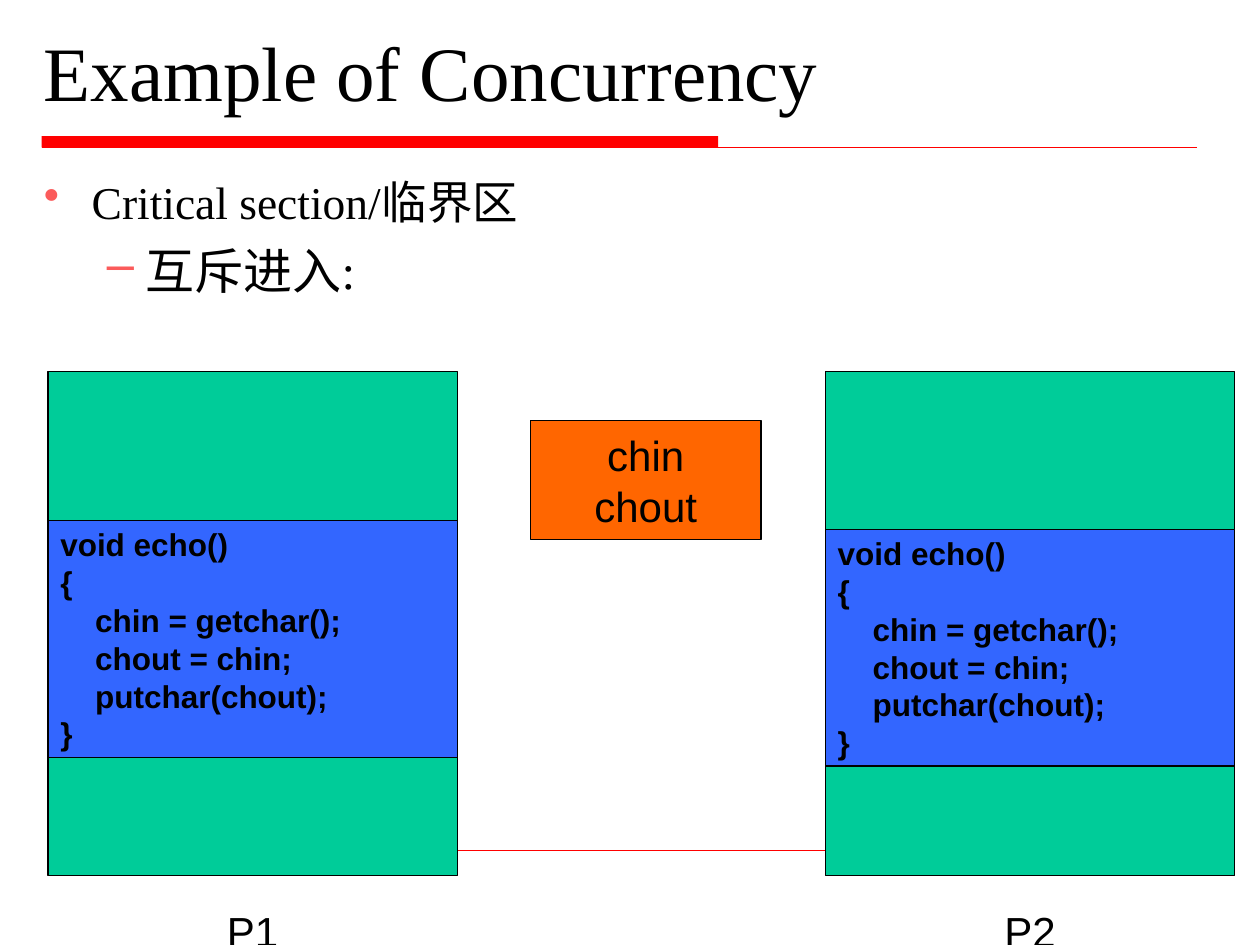
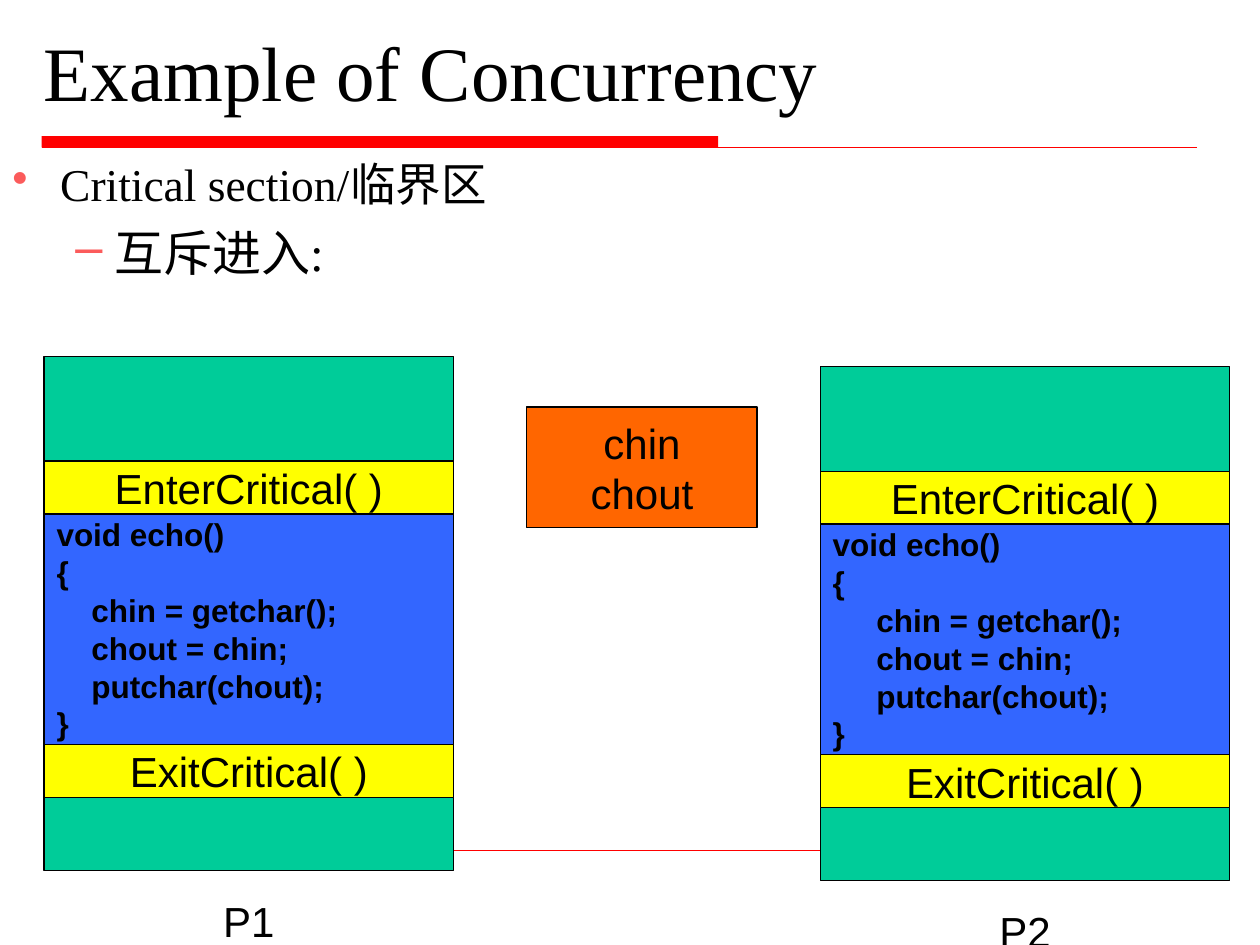
import pptx
import pptx.dml.color
import pptx.enum.shapes
import pptx.enum.text
import pptx.oxml.ns
import pptx.util
from dataclasses import dataclass
from lxml import etree

Inches = pptx.util.Inches
ALIGN = pptx.enum.text.PP_ALIGN
ANCHOR = pptx.enum.text.MSO_ANCHOR
COLUMN_WIDTH = 3.25
GUARD_HEIGHT = 0.42


@dataclass(frozen=True)
class Theme:
    black: str = "000000"
    rule: str = "FF0000"
    bullet: str = "FB5B5B"
    process: str = "00CC99"
    code: str = "3366FF"
    shared: str = "FF6600"
    guard: str = "FFFF00"
    heading_font: str = "Times New Roman"
    diagram_font: str = "Arial"
    title_size: float = 44
    topic_size: float = 26
    detail_size: float = 28
    label_size: float = 24
    code_size: float = 18
    outline: float = 0.75
    hairline: float = 0.25


def rgb(value):
    return pptx.dml.color.RGBColor.from_string(value)


def write_text(frame, text, *, size, font, color="000000", bold=False, align=ALIGN.LEFT,
               anchor=ANCHOR.TOP, margins=(0.1, 0.05), line_spacing=None):
    frame.word_wrap = True
    frame.vertical_anchor = anchor
    frame.margin_left = frame.margin_right = Inches(margins[0])
    frame.margin_top = frame.margin_bottom = Inches(margins[1])
    for index, line in enumerate(text.split("\n")):
        paragraph = frame.paragraphs[0] if index == 0 else frame.add_paragraph()
        paragraph.text = line
        paragraph.alignment = align
        if line_spacing:
            paragraph.line_spacing = line_spacing
        paragraph.font.size = pptx.util.Pt(size)
        paragraph.font.name = font
        paragraph.font.bold = bold
        paragraph.font.color.rgb = rgb(color)


class Deck:
    """Holds the presentation, its theme and the current slide."""

    def __init__(self, theme):
        self.theme = theme
        self.presentation = pptx.Presentation()
        self.presentation.slide_width = Inches(10)
        self.presentation.slide_height = Inches(7.5)
        self.slide = None

    def start_slide(self, title):
        theme = self.theme
        self.slide = self.presentation.slides.add_slide(self.presentation.slide_layouts[6])
        self.box(0.33, 1.08, 5.37, 0.09, theme.rule, outlined=False)
        self.line(0.33, 9.5, 1.17, theme.outline)
        self.line(0.42, 9.42, 6.75, theme.hairline)
        self.text(0.25, 0.17, 9.33, 0.92, title, size=theme.title_size,
                  font=theme.heading_font, anchor=ANCHOR.MIDDLE, line_spacing=0.8)

    def line(self, left, right, y, width):
        connector = self.slide.shapes.add_connector(
            pptx.enum.shapes.MSO_CONNECTOR.STRAIGHT,
            Inches(left), Inches(y), Inches(right), Inches(y))
        connector.line.color.rgb = rgb(self.theme.rule)
        connector.line.width = pptx.util.Pt(width)
        etree.SubElement(connector._element.spPr, pptx.oxml.ns.qn("a:effectLst"))

    def text(self, left, top, width, height, text, **style):
        shape = self.slide.shapes.add_textbox(
            Inches(left), Inches(top), Inches(width), Inches(height))
        write_text(shape.text_frame, text, **style)
        return shape.text_frame

    def box(self, left, top, width, height, fill, text="", outlined=True, **style):
        shape = self.slide.shapes.add_shape(
            pptx.enum.shapes.MSO_SHAPE.RECTANGLE,
            Inches(left), Inches(top), Inches(width), Inches(height))
        shape.shadow.inherit = False
        shape.fill.solid()
        shape.fill.fore_color.rgb = rgb(fill)
        if outlined:
            shape.line.color.rgb = rgb(self.theme.black)
            shape.line.width = pptx.util.Pt(self.theme.outline)
        else:
            shape.line.fill.background()
        if text:
            style = {"size": self.theme.label_size, "font": self.theme.diagram_font,
                     "align": ALIGN.CENTER, "anchor": ANCHOR.MIDDLE, **style}
            write_text(shape.text_frame, text, **style)

    def bullets(self, left, top, width, height, topic, detail):
        theme = self.theme
        frame = self.text(left, top, width, height, f"{topic}\n{detail}",
                          size=theme.topic_size, font=theme.heading_font)
        first, second = frame.paragraphs
        self.mark(first, "•", 0.38, -0.38)
        self.mark(second, "–", 0.81, -0.31)
        second.level = 1
        second.space_before = pptx.util.Pt(7)
        second.font.size = pptx.util.Pt(theme.detail_size)

    def mark(self, paragraph, symbol, margin, indent):
        properties = paragraph._p.get_or_add_pPr()
        properties.set("marL", str(Inches(margin)))
        properties.set("indent", str(Inches(indent)))
        qn = pptx.oxml.ns.qn
        color = etree.Element(qn("a:buClr"))
        etree.SubElement(color, qn("a:srgbClr"), val=self.theme.bullet)
        character = etree.Element(qn("a:buChar"), char=symbol)
        defaults = properties.find(qn("a:defRPr"))
        for element in (color, character):
            if defaults is None:
                properties.append(element)
            else:
                defaults.addprevious(element)

    def process(self, name, left, top, height, code_offset, code_height, label_gap,
                guards=(), indent=4):
        theme = self.theme
        self.box(left, top, COLUMN_WIDTH, height, theme.process)
        self.box(left, top + code_offset, COLUMN_WIDTH, code_height, theme.code,
                 echo_code(indent), size=theme.code_size, bold=True, align=ALIGN.LEFT)
        for text, offset in guards:
            self.box(left, top + offset, COLUMN_WIDTH, GUARD_HEIGHT, theme.guard, text)
        self.text(left, top + height + label_gap, COLUMN_WIDTH, 0.31, name,
                  size=theme.label_size, font=theme.diagram_font,
                  align=ALIGN.CENTER, margins=(0, 0))


def echo_code(indent):
    body = ("chin = getchar();", "chout = chin;", "putchar(chout);")
    return "\n".join(["void echo()", "{", *(" " * indent + line for line in body), "}"])


def start_concurrency_slide(deck, *bullet_area):
    deck.start_slide("Example of Concurrency")
    deck.bullets(*bullet_area, "Critical section/临界区", "互斥进入:")


def main():
    deck = Deck(Theme())
    shared_variables = "chin\nchout"

    start_concurrency_slide(deck, 0.25, 1.33, 9.33, 5.33)
    unguarded = {"top": 2.95, "height": 4, "code_height": 1.88, "label_gap": 0.24}
    deck.process("P1", 0.38, code_offset=1.18, **unguarded)
    deck.box(4.21, 3.34, 1.83, 0.94, deck.theme.shared, shared_variables)
    deck.process("P2", 6.55, code_offset=1.25, **unguarded)

    start_concurrency_slide(deck, 0, 1.19, 9.5, 5.31)
    guarded = {"height": 4.08, "code_offset": 1.2, "code_height": 1.92, "label_gap": 0.2,
               "guards": (("EnterCritical( )", 0.83), ("ExitCritical( )", 3.08))}
    deck.process("P1", 0.35, 2.83, **guarded)
    deck.box(4.18, 3.23, 1.83, 0.96, deck.theme.shared, shared_variables)
    deck.process("P2", 6.51, 2.91, indent=5, **guarded)

    deck.presentation.save("out.pptx")


if __name__ == "__main__":
    main()
